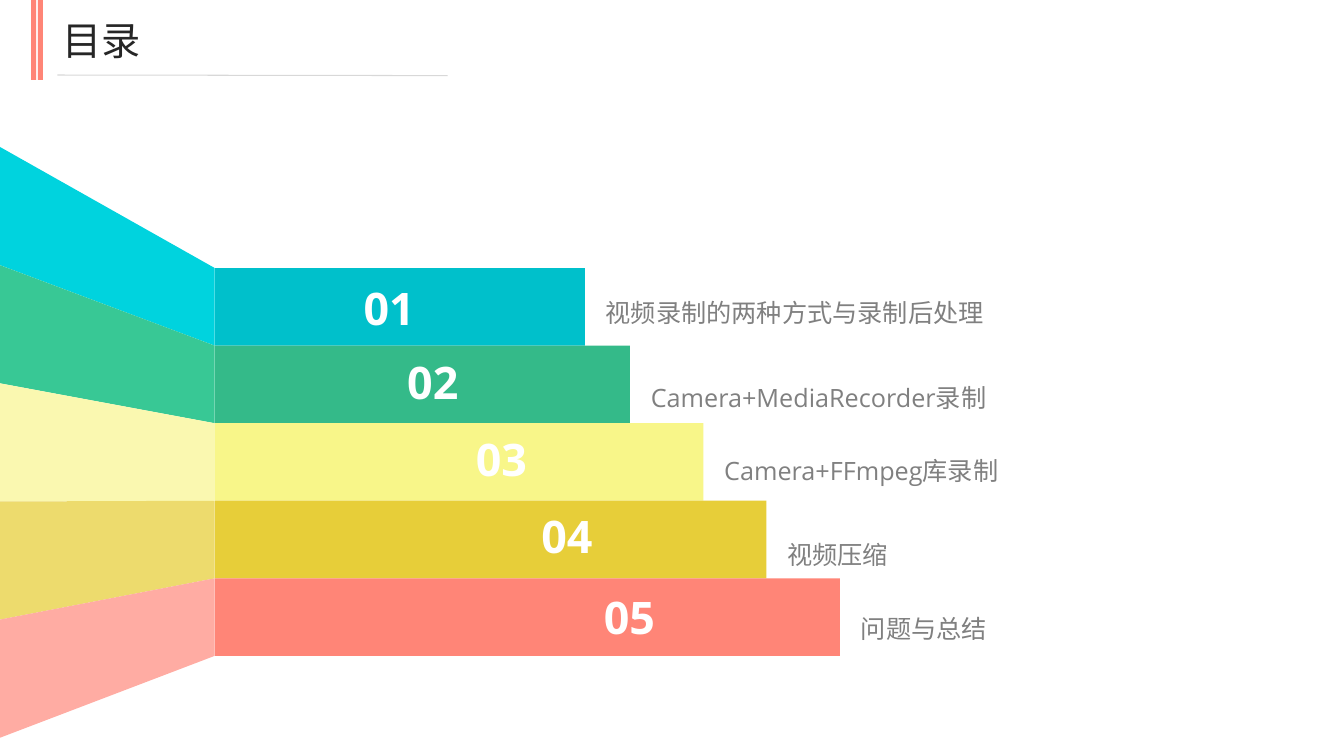
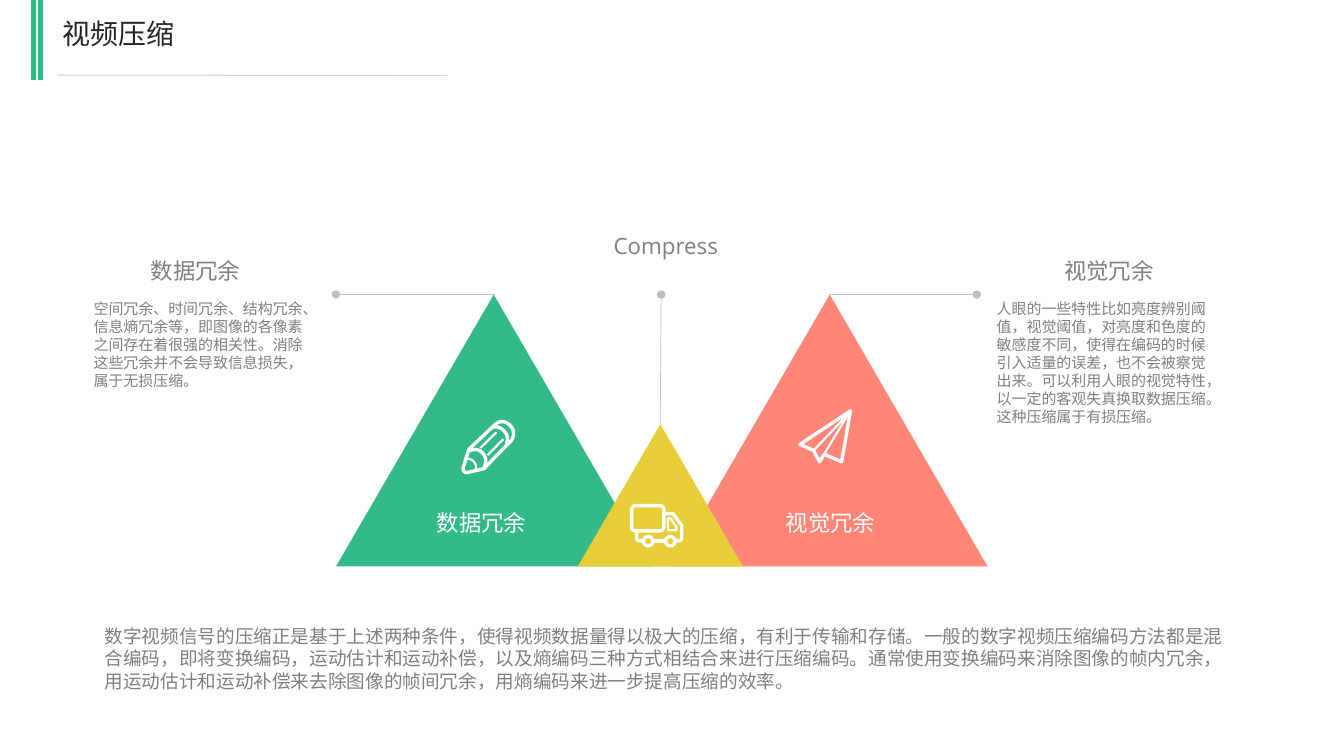
from dataclasses import dataclass

from lxml import etree
from pptx import Presentation
from pptx import util as u
from pptx.dml.color import RGBColor
from pptx.enum import shapes, text
from pptx.oxml import ns


@dataclass(frozen=True)
class Theme:
    ink: str = "262626"
    grey: str = "808080"
    white: str = "FFFFFF"
    rule: str = "D8D8D8"
    leader: str = "BFBFBF"
    cyan: str = "00C0CB"
    cyan_light: str = "00D3DE"
    green: str = "34BA89"
    green_light: str = "38C895"
    yellow: str = "F8F689"
    yellow_light: str = "FAF8B0"
    gold: str = "E7CE39"
    gold_light: str = "EDDB6D"
    coral: str = "FF8577"
    coral_light: str = "FFACA3"
    body_font: str = "Open Sans"
    title_font: str = "Arial Narrow"
    number: float = 32
    entry: float = 18
    heading: float = 16
    summary: float = 13.3
    detail: float = 10.7


THEME = Theme()
SHAPE = shapes.MSO_SHAPE
CENTER = text.PP_ALIGN.CENTER

PENCIL = [
    [(1.2, 33.5), (4.6, 22.6), (5, 21.5, 5, 21, 5.8, 20.2), (24, 3),
     (28, -0.5, 32, 1, 34.5, 3.6), (37.5, 6.5, 38, 11, 35.5, 14.5),
     (17.5, 33), (16.8, 34, 16.4, 34.4, 15.5, 34.7), (5, 37.2),
     (2, 38, 0.4, 36, 1.2, 33.5)],
    [(22, 5), (26, 4, 29, 6, 30.5, 8), (33, 10.5, 33, 13.5, 32, 17)],
    [(5.5, 22), (9, 20, 13, 21, 15, 23.5), (17.5, 26, 18, 30, 16, 33.5)],
]
PENCIL_DETAIL = [
    [(13.3, 19.8), (24.8, 8.6)],
    [(18.4, 24.9), (29.9, 13.4)],
    [(3.2, 27.4), (7, 27, 11, 30, 10.2, 35.5)],
]
PLANE = [[(37.3, 1.2), (1.2, 25.2), (11, 29.5), (15.2, 37.6),
          (18.6, 32.2), (31, 37.6), (37.3, 1.2)]]
PLANE_FOLDS = [[(11, 29.5), (36, 3)], [(15.2, 37.6), (36, 3)]]
TRUCK = [
    [(24.2, 7), (30, 7), (30.8, 7, 31.2, 7.3, 31.6, 8), (36.7, 15),
     (37, 15.5, 37, 16, 37, 16.5), (37, 24),
     (37, 25.5, 36, 26.3, 34.6, 26.3), (32.2, 26.3)],
    [(16.4, 26.3), (25.4, 26.3)],
    [(4.7, 19.2), (4.7, 24), (4.7, 25.5, 5.5, 26.3, 7, 26.3), (9.6, 26.3)],
]
TRUCK_WINDOW = [[(27.2, 10.2), (29, 10.2), (33.2, 16.5), (33.2, 18.7),
                 (27.2, 18.7), (27.2, 10.2)]]


def flatten(contour, steps=8):
    points = [contour[0]]
    for step in contour[1:]:
        if len(step) == 2:
            points.append(step)
            continue
        controls = [points[-1], step[:2], step[2:4], step[4:]]
        for i in range(1, steps + 1):
            t = i / steps
            weights = ((1 - t) ** 3, 3 * t * (1 - t) ** 2,
                       3 * t * t * (1 - t), t ** 3)
            points.append(tuple(sum(w * c[axis] for w, c in zip(weights, controls))
                                for axis in (0, 1)))
    return points


class Deck:
    def __init__(self, theme):
        self.theme = theme
        self.show = Presentation()
        self.show.slide_width, self.show.slide_height = u.Pt(960), u.Pt(540)
        self.slide = None

    def new_slide(self, title, size, accent):
        self.slide = self.show.slides.add_slide(self.show.slide_layouts[6])
        for left in (22.2, 27.1):
            self.shape(SHAPE.RECTANGLE, left, 0, 3.6, 57, accent)
        self.label(title, 37.4, 8, 304, 36, size, self.theme.ink,
                   font=self.theme.title_font)
        self.line((41, 53.6), (319.7, 54), self.theme.rule, 0.75)

    def paint(self, item, fill=None, stroke=None, width=1):
        item.shadow.inherit = False
        if fill:
            item.fill.solid()
            item.fill.fore_color.rgb = RGBColor.from_string(fill)
        else:
            item.fill.background()
        if stroke:
            item.line.color.rgb = RGBColor.from_string(stroke)
            item.line.width = u.Pt(width)
        else:
            item.line.fill.background()

    def shape(self, kind, left, top, width, height, fill=None, stroke=None, weight=1):
        item = self.slide.shapes.add_shape(
            kind, u.Pt(left), u.Pt(top), u.Pt(width), u.Pt(height))
        self.paint(item, fill, stroke, weight)
        return item

    def outline(self, contours, left=0, top=0, fill=None, stroke=None, weight=1):
        builder = None
        for contour in contours:
            points = [(u.Pt(left + x), u.Pt(top + y)) for x, y in flatten(contour)]
            if builder is None:
                builder = self.slide.shapes.build_freeform(*points[0], scale=1.0)
            else:
                builder.move_to(*points[0])
            builder.add_line_segments(points[1:], close=points[0] == points[-1])
        self.paint(builder.convert_to_shape(), fill, stroke, weight)

    def line(self, start, end, color, weight, dot=False):
        link = self.slide.shapes.add_connector(
            shapes.MSO_CONNECTOR.STRAIGHT, *map(u.Pt, start + end))
        link.line.color.rgb = RGBColor.from_string(color)
        link.line.width = u.Pt(weight)
        if dot:
            etree.SubElement(link.line._get_or_add_ln(), ns.qn("a:tailEnd"), type="oval")
        etree.SubElement(link._element.spPr, ns.qn("a:effectLst"))

    def label(self, words, left, top, width, height, size, color,
              align=None, bold=False, spacing=None, font=None):
        box = self.slide.shapes.add_textbox(
            u.Pt(left), u.Pt(top), u.Pt(width), u.Pt(height))
        box.text_frame.word_wrap = True
        paragraph = box.text_frame.paragraphs[0]
        paragraph.alignment = align
        paragraph.line_spacing = spacing
        run = paragraph.add_run()
        run.text = words
        run.font.name = font or self.theme.body_font
        run.font.size = u.Pt(size)
        run.font.bold = bold
        run.font.color.rgb = RGBColor.from_string(color)

    def heading(self, words, center, top, color):
        self.label(words, center - 60, top, 120, 26.6, self.theme.heading, color, CENTER)

    def detail(self, words, left, top, width, height, size):
        self.label(words, left, top, width, height, size, self.theme.grey)

    def icon(self, left, top, bold, fine):
        for contours, weight in ((bold, 2.4), (fine, 1.6)):
            self.outline(contours, left, top, stroke=self.theme.white, weight=weight)


def contents(deck):
    t = deck.theme
    deck.new_slide("目录", 28, t.coral)
    edge, bar_top, bar_step = 153.4, 191.5, 55.4
    wing_top, wing_step = 105, 84.4
    chapters = [
        ("视频录制的两种方式与录制后处理", t.cyan, t.cyan_light, 264.4, 278, 197.3, 187.2),
        ("Camera+MediaRecorder录制", t.green, t.green_light, 296.6, 309.2, 249.8, 247.7),
        ("Camera+FFmpeg库录制", t.yellow, t.yellow_light, 349, 358.2, 304.6, 300.2),
        ("视频压缩", t.gold, t.gold_light, 394, 405, 360, 360),
        ("问题与总结", t.coral, t.coral_light, 446.6, 449.6, 417.6, 412.6),
    ]
    for i, (name, color, tint, length, number_x, number_y, name_y) in enumerate(chapters):
        bar_y, wing_y = bar_top + i * bar_step, wing_top + i * wing_step
        deck.outline([[(0, wing_y), (0, wing_y + wing_step), (edge, bar_y + bar_step),
                       (edge, bar_y), (0, wing_y)]], fill=tint)
        deck.shape(SHAPE.RECTANGLE, edge, bar_y, length, bar_step, color)
        deck.label(f"{i + 1:02}", number_x - 32, number_y, 64, 46, t.number, t.white,
                   CENTER, bold=True)
        deck.label(name, edge + length + 7.8, name_y, 320, 44, t.entry, t.grey, spacing=2.0)


def compression(deck):
    t = deck.theme
    deck.new_slide("视频压缩", 20, t.green)
    peak, width, height = 210.4, 225.4, 194.2
    sides = [
        ("数据冗余", t.green, 240, 240, 344, (329.8, 300.2), PENCIL, PENCIL_DETAIL, 139.7, 59.8,
         "空间冗余、时间冗余、结构冗余、信息熵冗余等，即图像的各像素之间存在着很强的相关性。"
         "消除这些冗余并不会导致信息损失，属于无损压缩。"),
        ("视觉冗余", t.coral, 480, 697.7, 593.3, (570.2, 292.3), PLANE, PLANE_FOLDS, 792, 704.9,
         "人眼的一些特性比如亮度辨别阈值，视觉阈值，对亮度和色度的敏感度不同，"
         "使得在编码的时候引入适量的误差，也不会被察觉出来。可以利用人眼的视觉特性，"
         "以一定的客观失真换取数据压缩。这种压缩属于有损压缩。"),
    ]
    for (name, color, left, dot_x, name_x, icon_at, bold, fine,
         heading_x, detail_x, words) in sides:
        deck.line((left + width / 2, peak), (dot_x, peak), t.leader, 0.5, dot=True)
        deck.shape(SHAPE.ISOSCELES_TRIANGLE, left, peak, width, height, color)
        deck.icon(*icon_at, bold, fine)
        deck.heading(name, name_x, 360, t.white)
        deck.heading(name, heading_x, 180, t.grey)
        deck.detail(words, detail_x, peak, 172.8, 98, t.detail)

    deck.shape(SHAPE.ISOSCELES_TRIANGLE, 412.6, 303, 118.2, 101.8, t.gold)
    truck_x, truck_y = 450, 360
    deck.icon(truck_x, truck_y, TRUCK, TRUCK_WINDOW)
    cargo = deck.shape(SHAPE.ROUNDED_RECTANGLE, truck_x + 1.2, truck_y + 1.2, 23, 18,
                       stroke=t.white, weight=2.4)
    cargo.adjustments[0] = 0.14
    for wheel_x in (9.6, 25.4):
        deck.shape(SHAPE.OVAL, truck_x + wheel_x, truck_y + 23.2, 6.8, 6.8,
                   stroke=t.white, weight=2.4)
    deck.line((471.6, 303), (472.3, peak), t.leader, 0.5, dot=True)
    deck.heading("Compress", 475.6, 162, t.grey)
    deck.detail(
        "数字视频信号的压缩正是基于上述两种条件，使得视频数据量得以极大的压缩，有利于传输和存储。"
        "一般的数字视频压缩编码方法都是混合编码，即将变换编码，运动估计和运动补偿，"
        "以及熵编码三种方式相结合来进行压缩编码。通常使用变换编码来消除图像的帧内冗余，"
        "用运动估计和运动补偿来去除图像的帧间冗余，用熵编码来进一步提高压缩的效率。",
        67.7, 442.8, 816, 55.4, t.summary)


def main():
    deck = Deck(THEME)
    contents(deck)
    compression(deck)
    deck.show.save("out.pptx")


if __name__ == "__main__":
    main()
